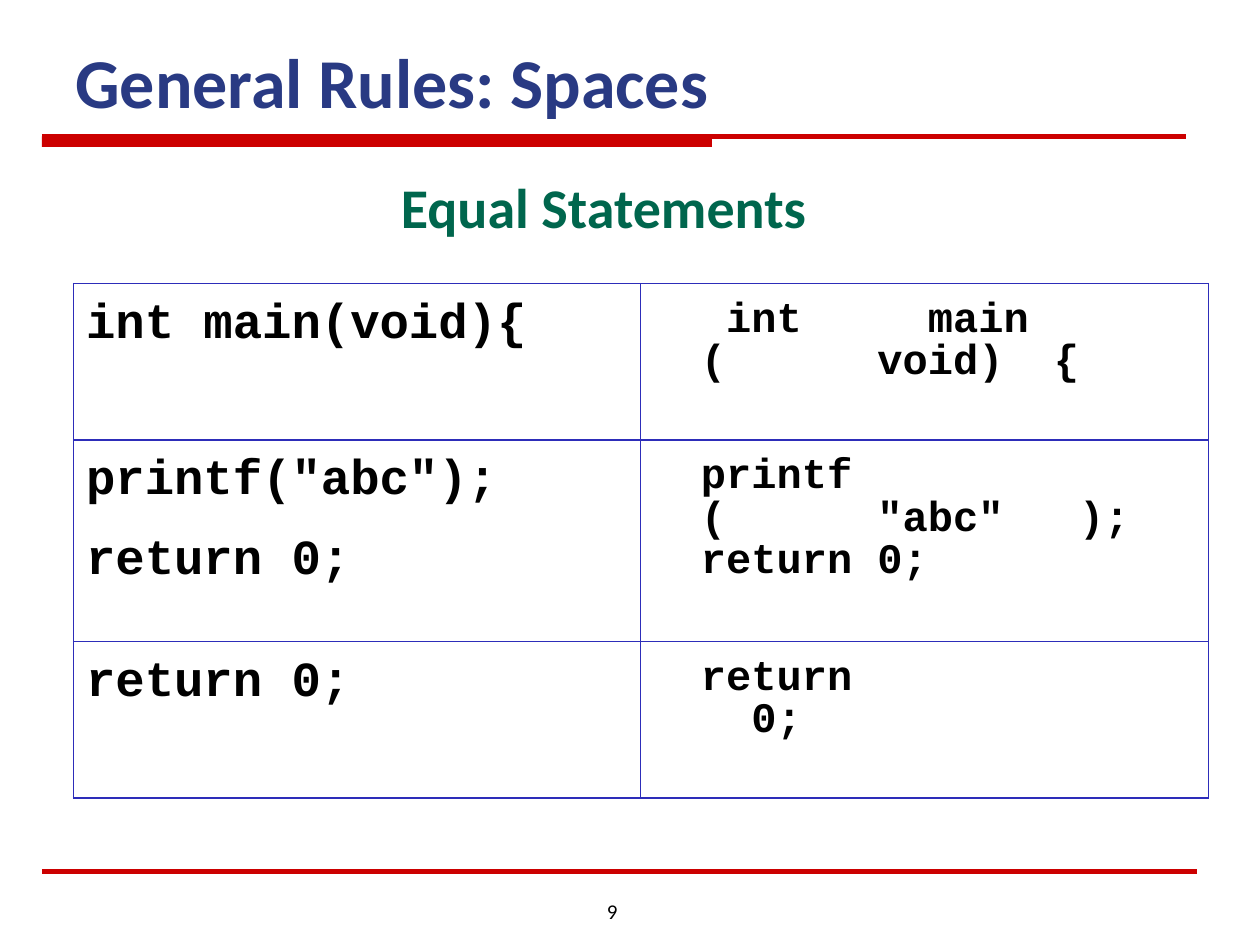
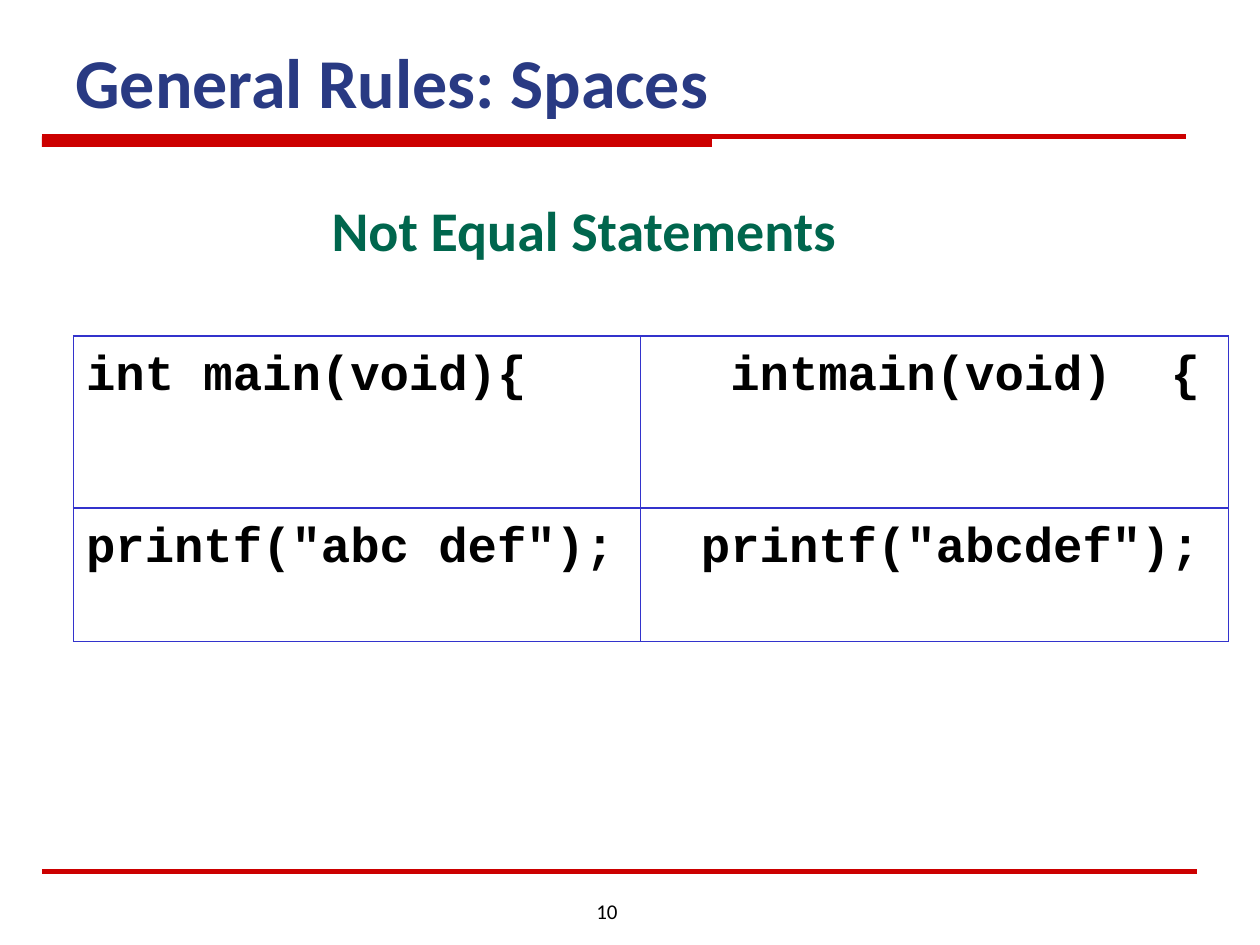
from pptx import Presentation
from pptx.dml.color import RGBColor
from pptx.enum.shapes import MSO_CONNECTOR, MSO_SHAPE
from pptx.enum.text import MSO_ANCHOR, PP_ALIGN
from pptx.oxml import parse_xml
from pptx.oxml.ns import nsdecls, qn
from pptx.util import Inches, Pt
from lxml.etree import SubElement

deck = Presentation()
deck.slide_width, deck.slide_height = Inches(10), Inches(7.5)
blank = deck.slide_layouts[6]
UNIT = deck.slide_width // 120  # grid of 120 columns by 90 rows

# Shared formats
RED = "CC0000"
TITLE = {"name": "Calibri", "size": Pt(40), "bold": True, "color": "293A83"}
HEAD = {"name": "Calibri", "size": Pt(32), "bold": True, "color": "00664D"}
PAGE = {"name": "Calibri", "size": Pt(12), "bold": False, "color": "000000"}
CODE = {"name": "Courier New", "size": Pt(28), "bold": True, "color": "000000"}
LEFT = {"line_spacing": 0.89, "space_before": Pt(17.5)}

# What differs from slide to slide
pages = [
    {"page": "9", "head": "Equal Statements", "align": PP_ALIGN.CENTER,
     "box": (31, 15.8, 53, 7.7), "top": 27, "edge": "2D2DB9",
     "cols": (54, 54.1), "rows": (14.9, 19.2, 14.9), "size": 24, "gap": 6,
     "code": [("int main(void){", " int     main      (      void)  {"),
              ('printf("abc");\nreturn 0;',
               'printf    (      "abc"   ); return 0;'),
              ("return 0;", "return\v  0;")]},
    {"page": "10", "head": "Not Equal Statements", "align": PP_ALIGN.LEFT,
     "box": (30.4, 18, 66.6, 7.7), "top": 32, "edge": "3333CC",
     "cols": (54, 56), "rows": (16.4, 12.7), "size": 28, "gap": 7,
     "code": [("int main(void){", " intmain(void)  {"),
              ('printf("abc def");', 'printf("abcdef");')]},
]


def tint(part, code):
    """Give a font, fill or line its solid colour."""
    if hasattr(part, "solid"):
        part.solid()
        part = part.fore_color
    elif hasattr(part, "color"):
        part = part.color
    part.rgb = RGBColor.from_string(code)


def write(frame, text, font, para):
    """Fill a text frame and format each paragraph in it."""
    frame.text = text
    for par in frame.paragraphs:
        for key, val in para.items():
            setattr(par, key, val)
        for run in par.runs:
            for key, val in font.items():
                if key == "color":
                    tint(run.font, val)
                else:
                    setattr(run.font, key, val)


for info in pages:
    slide = deck.slides.add_slide(blank)
    shapes = slide.shapes

    # Red band and rules
    band = shapes.add_shape(MSO_SHAPE.RECTANGLE,
                            *[int(n * UNIT) for n in (4, 13, 63.8, 1)])
    band.shadow.inherit = False
    tint(band.fill, RED)
    band.line.fill.background()
    for end, row in ((113, 13), (114, 83)):
        rule = shapes.add_connector(MSO_CONNECTOR.STRAIGHT, 4 * UNIT,
                                    row * UNIT, end * UNIT, row * UNIT)
        tint(rule.line, RED)
        rule.line.width = Pt(3)
        SubElement(rule._element.spPr, qn("a:effectLst"))

    # Page number, title and heading
    texts = [
        (info["page"], (52, 85, 8, 3.2), PAGE, PP_ALIGN.RIGHT, MSO_ANCHOR.TOP),
        ("General Rules: Spaces", (6, 2, 108, 10.3), TITLE, PP_ALIGN.LEFT,
         MSO_ANCHOR.BOTTOM),
        (info["head"], info["box"], HEAD, info["align"], MSO_ANCHOR.MIDDLE),
    ]
    for text, box, font, align, anchor in texts:
        frame = shapes.add_textbox(*[int(n * UNIT) for n in box]).text_frame
        frame.word_wrap = True
        frame.vertical_anchor = anchor
        write(frame, text, font, {"alignment": align})

    # Code table
    cols, rows = info["cols"], info["rows"]
    grid = shapes.add_table(len(rows), len(cols), 7 * UNIT, info["top"] * UNIT,
                            int(sum(cols) * UNIT), int(sum(rows) * UNIT)).table
    grid.first_row = grid.horz_banding = False
    for col, wide in zip(grid.columns, cols):
        col.width = int(wide * UNIT)
    for row, high in zip(grid.rows, rows):
        row.height = int(high * UNIT)

    right = {"level": 1, "line_spacing": 0.89, "space_before": Pt(info["gap"])}
    small = CODE | {"size": Pt(info["size"])}
    for r, pair in enumerate(info["code"]):
        for c, text in enumerate(pair):
            cell = grid.cell(r, c)
            cell.margin_left = cell.margin_right = Inches(0.1)
            cell.margin_top, cell.margin_bottom = Inches(0.12), Inches(0.05)
            write(cell.text_frame, text, small if c else CODE,
                  right if c else LEFT)
            if c:
                for par in cell.text_frame.paragraphs:
                    props = par._p.get_or_add_pPr()
                    props.set("marL", str(Inches(0.38)))
                    props.set("indent", "0")
            for side in "LRTB":
                cell._tc.get_or_add_tcPr().append(parse_xml(
                    f'<a:ln{side} {nsdecls("a")} w="{Pt(1)}"><a:solidFill>'
                    f'<a:srgbClr val="{info["edge"]}"/></a:solidFill>'
                    f'</a:ln{side}>'))
            cell.fill.background()

deck.save("out.pptx")
